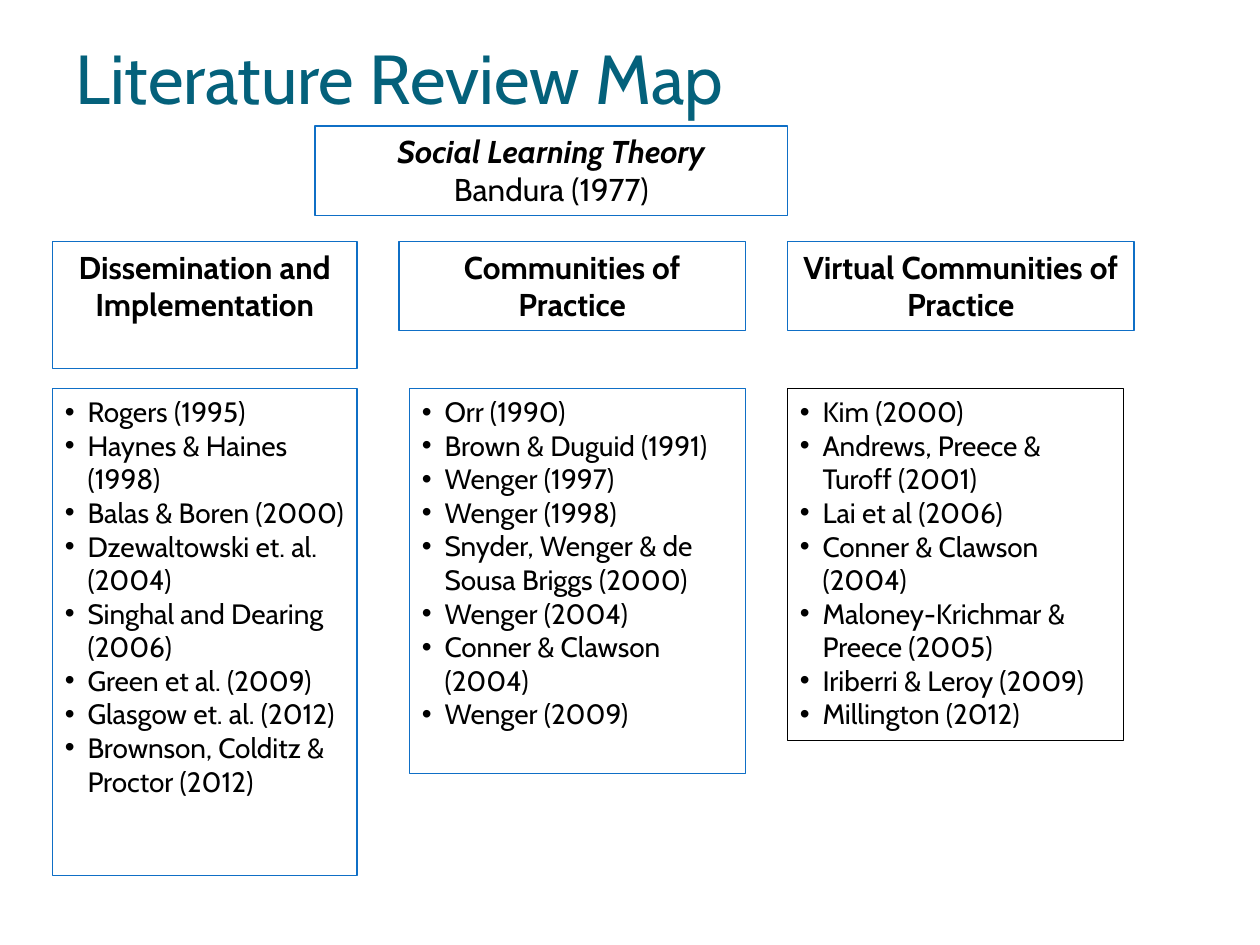
from dataclasses import dataclass

from lxml.etree import SubElement
from pptx import Presentation
from pptx.dml.color import RGBColor
from pptx.enum.shapes import MSO_SHAPE
from pptx.enum.text import MSO_ANCHOR, MSO_AUTO_SIZE, PP_ALIGN
from pptx.oxml.ns import qn
from pptx.slide import Slide
from pptx.text.text import Font
from pptx.util import Inches, Pt


@dataclass(frozen=True)
class Theme:
    font: str = "Cabin"
    title_color: RGBColor = RGBColor(0x04, 0x61, 0x7B)
    text_color: RGBColor = RGBColor(0, 0, 0)
    blue: RGBColor = RGBColor(0x0F, 0x6F, 0xC6)
    black: RGBColor = RGBColor(0, 0, 0)
    title_size: float = 39.6
    heading_size: float = 18
    source_size: float = 16
    bullet_indent: float = 0.18


THEME = Theme()
CELL = Inches(10) / 120  # the slide is a grid of 120 columns by 90 rows
THEORY_ROW, HEADING_ROW, SOURCES_ROW = 12, 23, 37
HEADING_ROWS = 8.5


@dataclass(frozen=True)
class Box:
    """Position and size in grid columns and rows, with its outline."""
    col: float
    row: float
    cols: float
    rows: float
    color: RGBColor = THEME.blue
    weight: float = 0.75


@dataclass(frozen=True)
class Topic:
    heading: str
    heading_box: Box
    sources: tuple[str, ...]
    sources_box: Box


TOPICS = (
    Topic(
        "Dissemination and Implementation",
        Box(5, HEADING_ROW, 29, 12.1),
        ("Rogers (1995)", "Haynes & Haines (1998)", "Balas & Boren (2000)",
         "Dzewaltowski et. al. (2004)", "Singhal and Dearing (2006)",
         "Green et al. (2009)", "Glasgow et. al. (2012)",
         "Brownson, Colditz & Proctor (2012)"),
        Box(5, SOURCES_ROW, 29, 46.4),
    ),
    Topic(
        "Communities of Practice",
        Box(38, HEADING_ROW, 33, HEADING_ROWS),
        ("Orr (1990)", "Brown & Duguid (1991)", "Wenger (1997)",
         "Wenger (1998)", "Snyder, Wenger & de Sousa Briggs (2000)",
         "Wenger (2004)", "Conner & Clawson (2004)", "Wenger (2009)"),
        Box(39, SOURCES_ROW, 32, 36.7),
    ),
    Topic(
        "Virtual Communities of Practice",
        Box(75, HEADING_ROW, 33, HEADING_ROWS),
        ("Kim (2000)", "Andrews, Preece & Turoff (2001)",
         "Lai et al (2006)", "Conner & Clawson (2004)",
         "Maloney-Krichmar & Preece (2005)", "Iriberri & Leroy (2009)",
         "Millington (2012)"),
        Box(75, SOURCES_ROW, 32, 33.5, THEME.black, 0.5),
    ),
)


def style(font: Font, size: float, color: RGBColor, bold: bool = False) -> None:
    font.name = THEME.font
    font.size = Pt(size)
    font.color.rgb = color
    font.bold = bold


def add_title(slide: Slide, text: str) -> None:
    title = slide.shapes.title
    title.left, title.top = Inches(0.5), Inches(0.3)
    title.width, title.height = Inches(8.17), Inches(0.62)
    frame = title.text_frame
    frame.text = text
    frame.auto_size = MSO_AUTO_SIZE.NONE
    frame.vertical_anchor = MSO_ANCHOR.MIDDLE
    frame.paragraphs[0].alignment = PP_ALIGN.LEFT
    style(frame.paragraphs[0].runs[0].font, THEME.title_size, THEME.title_color)


def add_box(slide: Slide, box: Box, lines: tuple[str, ...], size: float,
            align: PP_ALIGN, bold: bool = False) -> list:
    """Draw an outlined box and return its paragraphs."""
    bounds = (round(n * CELL) for n in (box.col, box.row, box.cols, box.rows))
    shape = slide.shapes.add_shape(MSO_SHAPE.RECTANGLE, *bounds)
    shape.shadow.inherit = False
    shape.fill.background()
    shape.line.color.rgb = box.color
    shape.line.width = Pt(box.weight)
    frame = shape.text_frame
    frame.word_wrap = True
    frame.vertical_anchor = MSO_ANCHOR.TOP
    frame.text = "\n".join(lines)
    for paragraph in frame.paragraphs:
        paragraph.alignment = align
        style(paragraph.runs[0].font, size, THEME.text_color, bold)
    return list(frame.paragraphs)


def add_heading(slide: Slide, box: Box, *lines: str) -> list:
    return add_box(slide, box, lines, THEME.heading_size, PP_ALIGN.CENTER, True)


def add_sources(slide: Slide, box: Box, sources: tuple[str, ...]) -> None:
    indent = Inches(THEME.bullet_indent)
    for entry in add_box(slide, box, sources, THEME.source_size, PP_ALIGN.LEFT):
        properties = entry._p.get_or_add_pPr()
        properties.set("marL", str(indent))
        properties.set("indent", str(-indent))
        SubElement(properties, qn("a:buFont")).set("typeface", "Arial")
        SubElement(properties, qn("a:buChar")).set("char", "•")


def main() -> None:
    deck = Presentation()
    deck.slide_width, deck.slide_height = Inches(10), Inches(7.5)
    slide = deck.slides.add_slide(deck.slide_layouts.get_by_name("Title Only"))
    add_title(slide, "Literature Review Map")

    theory, author = add_heading(slide, Box(30, THEORY_ROW, 45, HEADING_ROWS),
                                 "Social Learning Theory", "Bandura (1977)")
    theory.runs[0].font.italic = True
    author.runs[0].font.bold = False

    for topic in TOPICS:
        add_heading(slide, topic.heading_box, topic.heading)
        add_sources(slide, topic.sources_box, topic.sources)
    deck.save("out.pptx")


if __name__ == "__main__":
    main()
